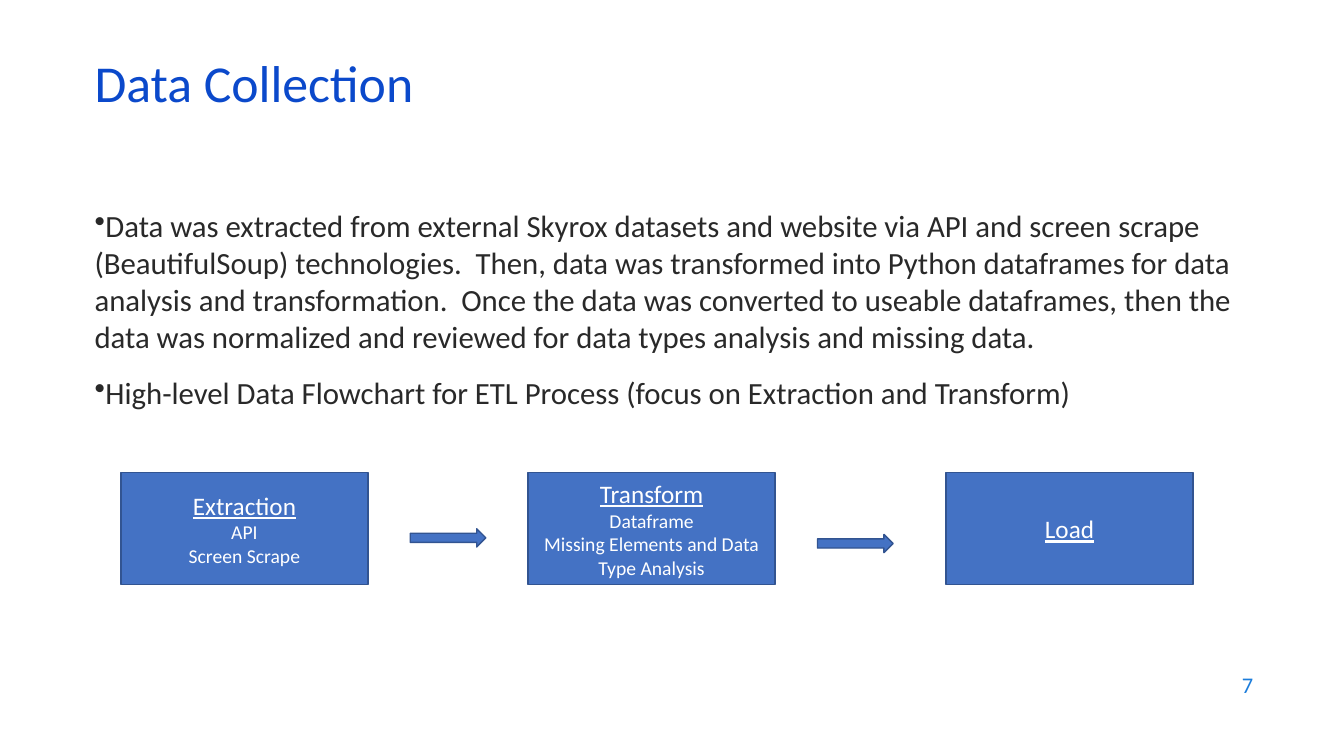
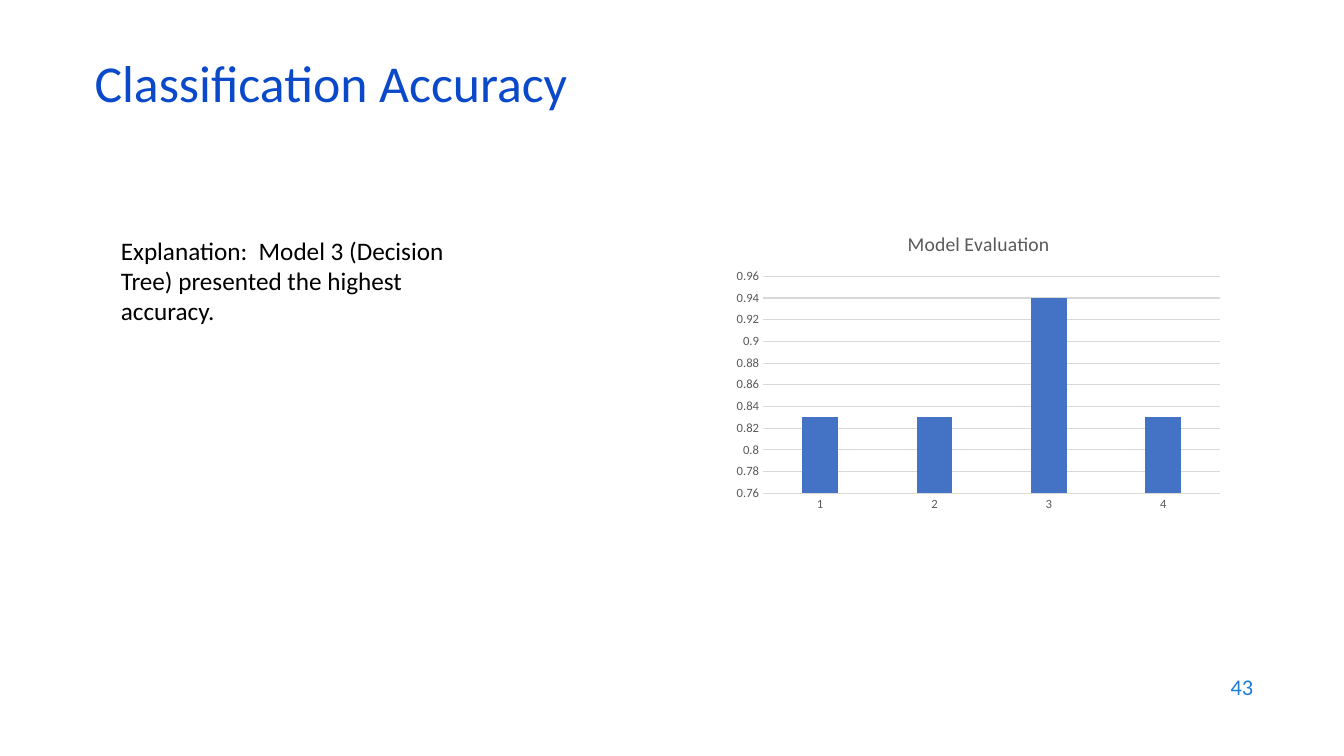
import dataclasses

import pptx
import pptx.chart.data
import pptx.dml.color
import pptx.enum.chart
import pptx.enum.shapes
import pptx.enum.text
import pptx.oxml
import pptx.oxml.ns
import pptx.util

Pt = pptx.util.Pt
Align = pptx.enum.text.PP_ALIGN
Anchor = pptx.enum.text.MSO_ANCHOR
Shape = pptx.enum.shapes.MSO_SHAPE


@dataclasses.dataclass(frozen=True)
class Theme:
    """Hold the colours, the font and the type sizes of the deck."""

    font: str = "Calibri"
    title: str = "0B49CB"
    number: str = "1C7DDB"
    body: str = "292929"
    black: str = "000000"
    white: str = "FFFFFF"
    accent: str = "4472C4"
    outline: str = "325491"
    axis_text: str = "595959"
    grid: str = "D9D9D9"
    title_size: float = 37
    body_size: float = 22
    lead_size: float = 18
    detail_size: float = 14
    number_size: float = 16
    axis_size: float = 9


THEME = Theme()
TITLE_BOX = (60.5, 42.5, 828, 43.2)


def rgb(colour):
    """Turn a hex string into a colour."""
    return pptx.dml.color.RGBColor.from_string(colour)


def style_font(font, size, colour, underline=None):
    """Set the family, size and colour of a font."""
    font.name = THEME.font
    font.size = Pt(size)
    font.color.rgb = rgb(colour)
    font.bold = False
    font.underline = underline


def add_text(slide, box, lines, size, colour, align=Align.LEFT, anchor=Anchor.TOP):
    """Add a wrapping text box and return its paragraphs."""
    frame = slide.shapes.add_textbox(*map(Pt, box)).text_frame
    frame.word_wrap = True
    frame.vertical_anchor = anchor
    frame.text = "\n".join(lines)
    for paragraph in frame.paragraphs:
        paragraph.alignment = align
        style_font(paragraph.runs[0].font, size, colour)
    return frame.paragraphs


def add_page(deck, title, number, number_top):
    """Add a blank slide with its title and page number."""
    slide = deck.slides.add_slide(deck.slide_layouts[6])
    heading = add_text(slide, TITLE_BOX, [title], THEME.title_size, THEME.title,
                       anchor=Anchor.MIDDLE)
    heading[0].line_spacing = 0.7
    add_text(slide, (686.2, number_top, 216, 31.7), [str(number)],
             THEME.number_size, THEME.number, Align.RIGHT, Anchor.MIDDLE)
    return slide


def add_bullets(slide, box, points):
    """Add bulleted paragraphs that wrap to the left edge of the box."""
    paragraphs = add_text(slide, box, points, THEME.body_size, THEME.body)
    for index, paragraph in enumerate(paragraphs):
        properties = paragraph._p.get_or_add_pPr()
        properties.set("marL", "0")
        properties.set("indent", "0")
        bullet = pptx.oxml.parse_xml(
            f'<a:buChar {pptx.oxml.ns.nsdecls("a")} char="•"/>')
        properties.append(bullet)
        if index:
            paragraph.space_before = Pt(14)


def add_block(slide, preset, box):
    """Add a filled and outlined shape of the flowchart."""
    block = slide.shapes.add_shape(preset, *map(Pt, box))
    block.shadow.inherit = False
    block.fill.solid()
    block.fill.fore_color.rgb = rgb(THEME.accent)
    block.line.color.rgb = rgb(THEME.outline)
    block.line.width = Pt(1)
    return block


def add_flowchart(slide, box, stages, arrows):
    """Add the stages of the process and the arrows between them."""
    left, top, width, height = box
    stage_width = 176.4
    for offset, lines in stages:
        stage = add_block(slide, Shape.RECTANGLE,
                          (left + offset * width, top, stage_width, height))
        frame = stage.text_frame
        frame.word_wrap = True
        frame.vertical_anchor = Anchor.MIDDLE
        frame.text = "\n".join(lines)
        for index, paragraph in enumerate(frame.paragraphs):
            paragraph.alignment = Align.CENTER
            size = THEME.detail_size if index else THEME.lead_size
            style_font(paragraph.runs[0].font, size, THEME.white, index == 0)
    for across, down in arrows:
        add_block(slide, Shape.RIGHT_ARROW,
                  (left + across * width, top + down * height, 54, 13))


def add_accuracy_chart(slide, box, title, scores):
    """Add the column chart of model scores."""
    data = pptx.chart.data.CategoryChartData()
    data.categories = [str(model) for model in range(1, len(scores) + 1)]
    data.add_series("Series 1", scores)
    chart = slide.shapes.add_chart(
        pptx.enum.chart.XL_CHART_TYPE.COLUMN_CLUSTERED, *map(Pt, box), data).chart
    style_font(chart.font, 10, THEME.black)
    chart.has_legend = False
    chart.has_title = True
    heading = chart.chart_title.text_frame
    heading.text = title
    style_font(heading.paragraphs[0].runs[0].font, THEME.detail_size, THEME.axis_text)
    chart.chart_title.include_in_layout = False

    plot = chart.plots[0]
    plot.vary_by_categories = False
    plot.gap_width = 219
    plot.overlap = -27
    columns = plot.series[0].format.fill
    columns.solid()
    columns.fore_color.rgb = rgb(THEME.accent)

    models, accuracy = chart.category_axis, chart.value_axis
    for axis in (models, accuracy):
        axis.major_tick_mark = pptx.enum.chart.XL_TICK_MARK.NONE
        axis.minor_tick_mark = pptx.enum.chart.XL_TICK_MARK.NONE
        style_font(axis.tick_labels.font, THEME.axis_size, THEME.axis_text)
    accuracy.minimum_scale = 0.76
    accuracy.maximum_scale = 0.96
    accuracy.major_unit = 0.02
    accuracy.format.line.fill.background()
    accuracy.has_major_gridlines = True
    for line in (models.format.line, accuracy.major_gridlines.format.line):
        line.color.rgb = rgb(THEME.grid)
        line.width = Pt(0.75)


def build_collection(deck):
    """Build the slide about data collection."""
    slide = add_page(deck, "Data Collection", 7, 473)
    add_bullets(slide, (60.5, 144, 828, 342.7), [
        "Data was extracted from external Skyrox datasets and website via API and "
        "screen scrape (BeautifulSoup) technologies.  Then, data was transformed into "
        "Python dataframes for data analysis and transformation.  Once the data was "
        "converted to useable dataframes, then the data was normalized and reviewed "
        "for data types analysis and missing data.",
        "High-level Data Flowchart for ETL Process (focus on Extraction and Transform)",
    ])
    stages = [
        (0, ["Extraction", "API", "Screen Scrape"]),
        (0.38, ["Transform", "Dataframe", "Missing Elements and Data Type Analysis"]),
        (0.77, ["Load"]),
    ]
    add_flowchart(slide, (86.4, 337.7, 765.4, 80), stages,
                  [(0.27, 0.5), (0.65, 0.55)])


def build_accuracy(deck):
    """Build the slide about classification accuracy."""
    slide = add_page(deck, "Classification Accuracy", 43, 474.5)
    add_accuracy_chart(slide, (519, 154, 360, 216), "Model Evaluation",
                       [0.83, 0.83, 0.94, 0.83])
    add_text(slide, (79.2, 164.2, 262, 72.7),
             ["Explanation:  Model 3 (Decision Tree) presented the highest accuracy."],
             THEME.lead_size, THEME.black)


def main():
    """Build and save the deck."""
    deck = pptx.Presentation()
    deck.slide_width, deck.slide_height = Pt(960), Pt(540)
    build_collection(deck)
    build_accuracy(deck)
    deck.save("out.pptx")


if __name__ == "__main__":
    main()
